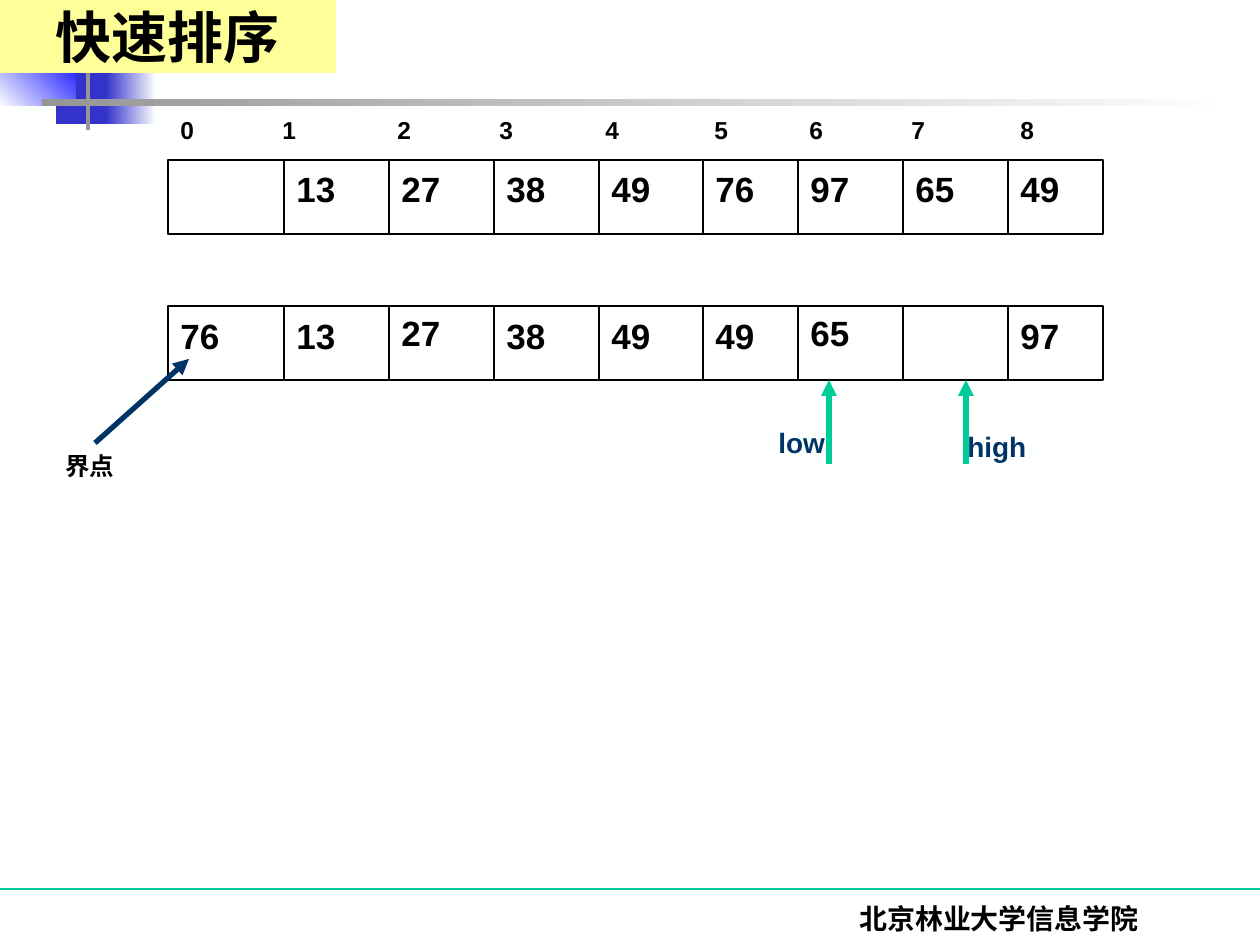
from dataclasses import dataclass
from itertools import pairwise
from typing import Optional

from lxml import etree
from pptx import Presentation
from pptx import util as u
from pptx.dml.color import RGBColor
from pptx.enum import shapes, text
from pptx.oxml.ns import qn

EMU_PER_PX = 914400 / 126
WIDTH, HEIGHT = 1260, 945

BLACK, WHITE, NAVY, GREEN = "000000", "FFFFFF", "003366", "00CC99"
GREY, PAPER = "969696", "FEFFFF"

COLUMNS = [168, 284, 389, 494, 599, 703, 798, 903, 1008]
ARRAY_WIDTH, ARRAY_HEIGHT = 935, 74
INSET = 13


@dataclass
class Block:
    left: int
    top: int
    width: int
    height: int
    color: str
    end_color: Optional[str] = None
    angle: int = 0


@dataclass
class Label:
    words: str
    left: int
    top: int
    width: int
    height: int
    size: int
    color: str = BLACK
    font: str = "Arial"
    centered: bool = False
    top_inset: int = 8


@dataclass
class Line:
    x1: int
    y1: int
    x2: int
    y2: int
    color: str = BLACK
    weight: float = 0.75
    arrow: bool = False


@dataclass
class ArrayRow:
    top: int
    values: list[str]
    raised: tuple[int, ...] = ()


DECORATION = [
    Block(56, 58, 58, 66, "3333CC"),
    Block(106, 58, 50, 66, "3333CC", PAPER),
    Block(-1, 48, 77, 58, PAPER, "0000FF", 45),
    Block(86, -15, 4, 145, GREY),
    Block(42, 99, 1198, 7, GREY, PAPER),
]
ROWS = [
    ArrayRow(160, ["", "13", "27", "38", "49", "76", "97", "65", "49"]),
    ArrayRow(306, ["76", "13", "27", "38", "49", "49", "65", "", "97"], raised=(2, 6)),
]
INDEX_LEFTS = [181, 283, 398, 500, 606, 715, 810, 912, 1021]
POINTERS = [
    Line(966, 464, 966, 380, GREEN, 3, True),
    Line(829, 464, 829, 380, GREEN, 3, True),
    Line(95, 443, 189, 359, NAVY, 3, True),
]
LABELS = [
    Label("high", 955, 422, 116, 47, 16, NAVY),
    Label("low", 766, 418, 116, 47, 16, NAVY),
    Label("界点", 53, 443, 105, 43, 14),
    Label("北京林业大学信息学院", 738, 896, 522, 63, 16,
          font="Times New Roman", centered=True, top_inset=6),
]


def px(value: int) -> int:
    return u.Emu(round(value * EMU_PER_PX))


def rgb(color: str) -> RGBColor:
    return RGBColor.from_string(color)


def apply(target, values: dict) -> None:
    for name, value in values.items():
        setattr(target, name, value)


def draw_block(slide, block: Block):
    shape = slide.shapes.add_shape(
        shapes.MSO_SHAPE.RECTANGLE,
        *map(px, (block.left, block.top, block.width, block.height)))
    shape.shadow.inherit = False
    shape.line.fill.background()
    if block.end_color:
        shape.fill.gradient()
        shape.fill.gradient_angle = block.angle
        for stop, color in zip(shape.fill.gradient_stops, (block.color, block.end_color)):
            stop.color.rgb = rgb(color)
    else:
        shape.fill.solid()
        shape.fill.fore_color.rgb = rgb(block.color)
    return shape


def draw_line(slide, line: Line) -> None:
    connector = slide.shapes.add_connector(
        shapes.MSO_CONNECTOR.STRAIGHT, *map(px, (line.x1, line.y1, line.x2, line.y2)))
    connector.line.color.rgb = rgb(line.color)
    connector.line.width = u.Pt(line.weight)
    properties = connector._element.spPr
    etree.SubElement(properties, qn("a:effectLst"))
    if line.arrow:
        etree.SubElement(properties.find(qn("a:ln")), qn("a:tailEnd"), type="triangle")


def write(shape, label: Label):
    frame = shape.text_frame
    apply(frame, {"word_wrap": True, "margin_top": px(label.top_inset)})
    paragraph = frame.paragraphs[0]
    paragraph.alignment = text.PP_ALIGN.CENTER if label.centered else text.PP_ALIGN.LEFT
    run = paragraph.add_run()
    run.text = label.words
    apply(run.font, {"name": label.font, "size": u.Pt(label.size), "bold": True})
    run.font.color.rgb = rgb(label.color)
    return paragraph


def draw_label(slide, label: Label):
    box = slide.shapes.add_textbox(
        *map(px, (label.left, label.top, label.width, label.height)))
    return write(box, label)


def draw_array(slide, row: ArrayRow) -> None:
    frame = draw_block(slide, Block(COLUMNS[0], row.top, ARRAY_WIDTH, ARRAY_HEIGHT, WHITE))
    frame.line.color.rgb = rgb(BLACK)
    frame.line.width = u.Pt(0.75)
    for x in COLUMNS[1:]:
        draw_line(slide, Line(x, row.top, x, row.top + ARRAY_HEIGHT))
    for column, (x, value) in enumerate(zip(COLUMNS, row.values)):
        if value:
            top = row.top - (2 if column in row.raised else 0)
            draw_label(slide, Label(value, x, top, 84, 55, 20))


def draw_indexes(slide) -> None:
    """Number the columns in one line, set out with tab stops."""
    words = "\t".join(str(index) for index in range(len(COLUMNS)))
    paragraph = draw_label(slide, Label(words, COLUMNS[0], 107, ARRAY_WIDTH, 43, 14))
    stops = etree.SubElement(paragraph._p.get_or_add_pPr(), qn("a:tabLst"))
    for _, left in pairwise(INDEX_LEFTS):
        position = px(left - COLUMNS[0] - INSET)
        etree.SubElement(stops, qn("a:tab"), pos=str(position), algn="l")


def draw_title(slide) -> None:
    banner = draw_block(slide, Block(0, 0, 336, 73, "FFFF99"))
    banner.text_frame.vertical_anchor = text.MSO_ANCHOR.MIDDLE
    write(banner, Label("快速排序", 0, 0, 336, 73, 32,
                        font="Times New Roman", centered=True, top_inset=6))


def main() -> None:
    presentation = Presentation()
    apply(presentation, {"slide_width": px(WIDTH), "slide_height": px(HEIGHT)})
    slide = presentation.slides.add_slide(presentation.slide_layouts[6])
    slide.background.fill.solid()
    slide.background.fill.fore_color.rgb = rgb(PAPER)

    draw_line(slide, Line(0, 889, WIDTH, 889, GREEN))
    for block in DECORATION:
        draw_block(slide, block)
    for row in ROWS:
        draw_array(slide, row)
    draw_indexes(slide)
    for pointer in POINTERS:
        draw_line(slide, pointer)
    for label in LABELS:
        draw_label(slide, label)
    draw_title(slide)
    presentation.save("out.pptx")


if __name__ == "__main__":
    main()
